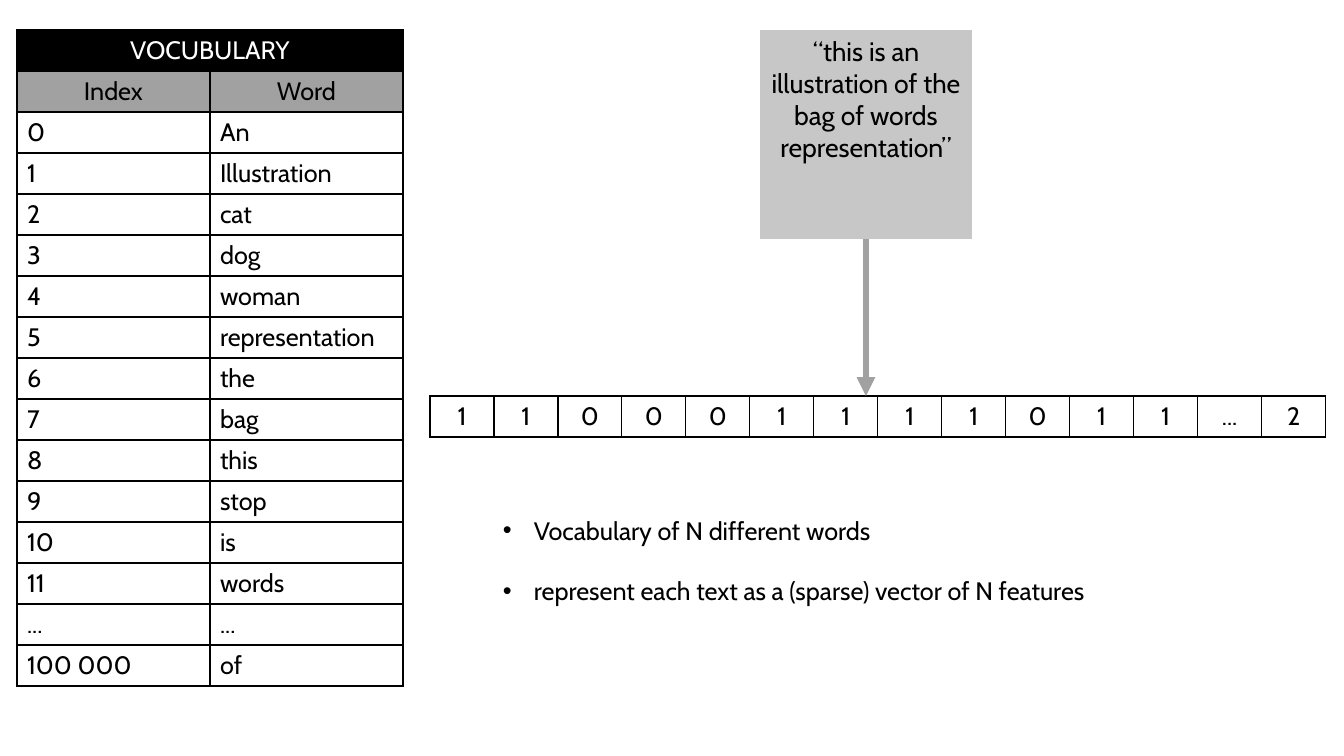
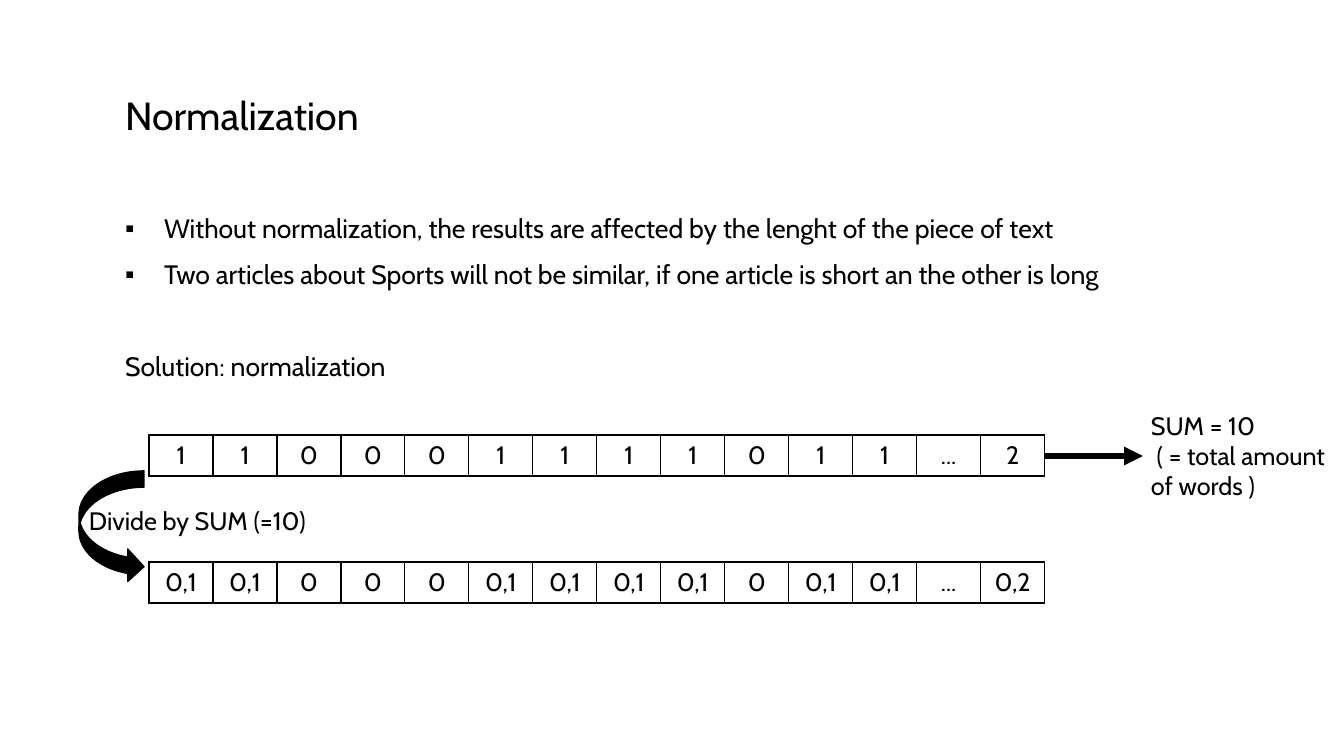
from lxml import etree
from pptx import Presentation
from pptx import util as u
from pptx.dml.color import RGBColor
from pptx.enum import shapes, text
from pptx.oxml import ns

PX = 914400 / 100.8
FONT = "Cabin"
BLACK = RGBColor(0x00, 0x00, 0x00)
WHITE = RGBColor(0xFF, 0xFF, 0xFF)
GRAY = RGBColor(0xA1, 0xA1, 0xA1)
LIGHT_GRAY = RGBColor(0xC7, 0xC7, 0xC7)
LEFT, CENTER = text.PP_ALIGN.LEFT, text.PP_ALIGN.CENTER
ROW_HEIGHT = 41


def write(frame, lines, size=18, color=BLACK, align=LEFT, indent=0, spacing=1.0):
    for number, (words, bullet, gap) in enumerate(lines):
        para = frame.paragraphs[0] if number == 0 else frame.add_paragraph()
        properties = para._p.get_or_add_pPr()
        hang = round(indent * PX) if bullet else 0
        properties.set("marL", str(hang))
        properties.set("indent", str(-hang))
        if bullet:
            etree.SubElement(properties, ns.qn("a:buFont")).set("typeface", "Arial")
            etree.SubElement(properties, ns.qn("a:buChar")).set("char", bullet)
        else:
            etree.SubElement(properties, ns.qn("a:buNone"))
        layout = {"alignment": align, "line_spacing": spacing,
                  "space_before": u.Pt(gap), "space_after": u.Pt(0)}
        for name, value in layout.items():
            setattr(para, name, value)
        span = para.add_run()
        span.text = words
        for name, value in {"name": FONT, "size": u.Pt(size), "bold": False}.items():
            setattr(span.font, name, value)
        span.font.color.rgb = color


def add_grid(page, left, top, rows, column_width, align=CENTER, headers=()):
    box = [round(n * PX) for n in (left, top, column_width * len(rows[0]), ROW_HEIGHT * len(rows))]
    table = page.shapes.add_table(len(rows), len(rows[0]), *box).table
    for flag in ("first_row", "horz_banding"):
        setattr(table, flag, False)
    for column in table.columns:
        column.width = round(column_width * PX)
    for number, values in enumerate(rows):
        table.rows[number].height = round(ROW_HEIGHT * PX)
        fill, color = headers[number] if number < len(headers) else (None, BLACK)
        for position, value in enumerate(values):
            cell = table.cell(number, position)
            properties = cell._tc.get_or_add_tcPr()
            for side in ("a:lnL", "a:lnR", "a:lnT", "a:lnB"):
                border = etree.SubElement(properties, ns.qn(side), w="12700")
                solid = etree.SubElement(border, ns.qn("a:solidFill"))
                etree.SubElement(solid, ns.qn("a:srgbClr"), val=str(BLACK))
            if fill is None:
                cell.fill.background()
            else:
                cell.fill.solid()
                cell.fill.fore_color.rgb = fill
            if value:
                write(cell.text_frame, [(value, None, 0)], color=color,
                      align=align if fill is None else CENTER)
    return table


deck = Presentation()
deck.slide_width, deck.slide_height = round(1344 * PX), round(756 * PX)
content_layout = deck.slide_layouts[1]
bag_page = deck.slides.add_slide(content_layout)
normal_page = deck.slides.add_slide(content_layout)

unused_title = bag_page.shapes.title._element
unused_title.getparent().remove(unused_title)
phrase = bag_page.placeholders[1]
title = normal_page.shapes.title
body = normal_page.placeholders[1]
places = [
    (phrase, (760, 30, 212, 209), text.MSO_ANCHOR.TOP),
    (title, (115, 88, 1111, 59), text.MSO_ANCHOR.MIDDLE),
    (body, (115, 207, 1111, 397), text.MSO_ANCHOR.TOP),
]
for placeholder, place, anchor in places:
    for name, value in zip(("left", "top", "width", "height"), place):
        setattr(placeholder, name, round(value * PX))
    frame = placeholder.text_frame
    frame.auto_size = text.MSO_AUTO_SIZE.NONE
    frame.vertical_anchor = anchor

phrase.fill.solid()
phrase.fill.fore_color.rgb = LIGHT_GRAY
write(phrase.text_frame,
      [("“this is an illustration of the bag of words representation”", None, 0)],
      size=19, align=CENTER)
write(title.text_frame, [("Normalization", None, 0)], size=28, spacing=0.9)
write(body.text_frame, [
    ("Without normalization, the results are affected by the lenght of the piece of text", "▪", 0),
    ("Two articles about Sports will not be similar, if one article is short an the other is long",
     "▪", 10),
    ("Solution: normalization", None, 43),
], size=19, indent=39)

words = ["An", "Illustration", "cat", "dog", "woman", "representation",
         "the", "bag", "this", "stop", "is", "words"]
vocabulary_rows = [("VOCUBULARY", ""), ("Index", "Word")]
vocabulary_rows += [(str(index), word) for index, word in enumerate(words)]
vocabulary_rows += [("...", "..."), ("100 000", "of")]
vocabulary = add_grid(bag_page, 17, 30, vocabulary_rows, 193, LEFT,
                      [(BLACK, WHITE), (GRAY, BLACK)])
vocabulary.cell(0, 0).merge(vocabulary.cell(0, 1))

counts = "1 1 0 0 0 1 1 1 1 0 1 1 ... 2".split()
shares = [f"0,{count}" if count in ("1", "2") else count for count in counts]
vectors = [(bag_page, 430, 396, counts), (normal_page, 149, 435, counts),
           (normal_page, 149, 562, shares)]
for page, left, top, values in vectors:
    add_grid(page, left, top, [values], 64)

arrows = [(bag_page, (866, 239, 866, 396), GRAY, phrase),
          (normal_page, (1045, 456, 1143, 456), BLACK, None)]
for page, ends, color, source in arrows:
    arrow = page.shapes.add_connector(shapes.MSO_CONNECTOR.STRAIGHT,
                                      *[round(n * PX) for n in ends])
    if source is not None:
        arrow.begin_connect(source, 2)
    arrow.line.color.rgb = color
    arrow.line.width = u.Pt(4.5)
    etree.SubElement(arrow.line._get_or_add_ln(), ns.qn("a:tailEnd"), type="triangle")
    etree.SubElement(arrow._element.spPr, ns.qn("a:effectLst"))

divide_arrow = normal_page.shapes.add_shape(
    shapes.MSO_SHAPE.CURVED_RIGHT_ARROW, *[round(n * PX) for n in (79, 471, 65, 112)])
divide_arrow.shadow.inherit = False
divide_arrow.fill.solid()
divide_arrow.fill.fore_color.rgb = BLACK
divide_arrow.line.color.rgb = BLACK
divide_arrow.line.width = u.Pt(1)

notes = [
    (bag_page, (493, 510, 686, 102), [
        ("Vocabulary of N different words", "•", 0),
        ("represent each text as a (sparse) vector of N features", "•", 21.6)]),
    (normal_page, (1141, 405, 203, 102), [
        ("SUM = 10", None, 0), (" ( = total amount of words )", None, 0)]),
    (normal_page, (79, 500, 260, 40), [("Divide by SUM (=10)", None, 0)]),
]
for page, place, lines in notes:
    box = page.shapes.add_textbox(*[round(n * PX) for n in place])
    box.text_frame.word_wrap = True
    write(box.text_frame, lines, indent=31)

deck.save("out.pptx")
